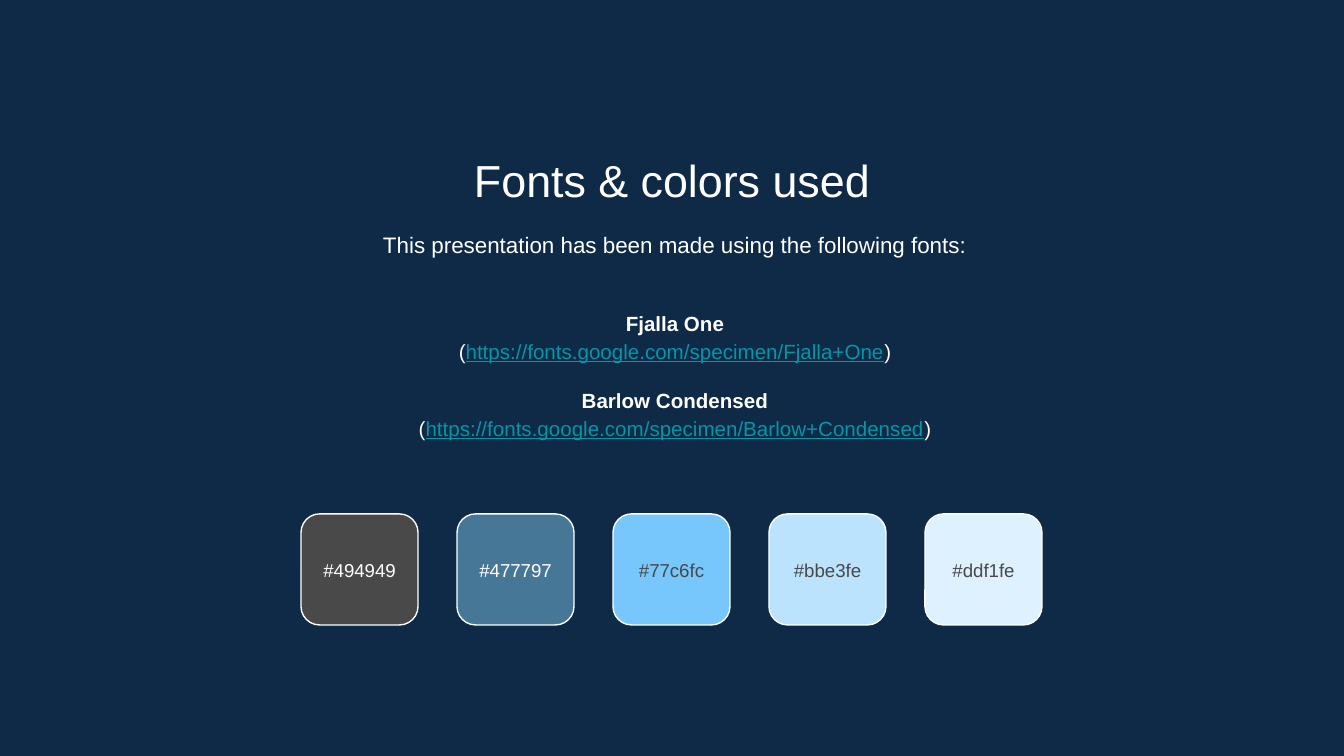
from lxml import etree
from pptx import Presentation
from pptx.dml.color import RGBColor
from pptx.enum.shapes import MSO_SHAPE
from pptx.enum.text import MSO_ANCHOR, MSO_AUTO_SIZE, PP_ALIGN
from pptx.oxml.ns import qn
from pptx.util import Emu, Pt

EMU_PER_PX = 914400 / 134.4
SLIDE_WIDTH, SLIDE_HEIGHT = 1344, 756
TWO_CONTENT_LAYOUT = 3
ROUNDED = MSO_SHAPE.ROUNDED_RECTANGLE
CENTER = PP_ALIGN.CENTER
TOP, MIDDLE = MSO_ANCHOR.TOP, MSO_ANCHOR.MIDDLE
NO_AUTOFIT = MSO_AUTO_SIZE.NONE

NAVY = RGBColor(0x0E, 0x2A, 0x47)
WHITE = RGBColor(0xFF, 0xFF, 0xFF)
TEAL = RGBColor(0x00, 0x97, 0xA7)
CHARCOAL = RGBColor(0x49, 0x49, 0x49)
STEEL = RGBColor(0x47, 0x77, 0x97)
SKY = RGBColor(0x77, 0xC6, 0xFC)
PALE_BLUE = RGBColor(0xBB, 0xE3, 0xFE)
ICE = RGBColor(0xDD, 0xF1, 0xFE)

FONTS = [
    ("Fjalla One", "https://fonts.google.com/specimen/Fjalla+One"),
    ("Barlow Condensed", "https://fonts.google.com/specimen/Barlow+Condensed"),
]
SWATCHES = [
    (CHARCOAL, WHITE),
    (STEEL, WHITE),
    (SKY, CHARCOAL),
    (PALE_BLUE, CHARCOAL),
    (ICE, CHARCOAL),
]
SWATCH_LEFT, SWATCH_TOP, SWATCH_STEP = 301, 514, 156
SWATCH_WIDTH, SWATCH_HEIGHT = 117, 111
LABEL_TOP, LABEL_HEIGHT = 538, 64


def px(length):
    return Emu(round(length * EMU_PER_PX))


class SlideBuilder:
    font_name = "Arial"
    inset = 13

    def __init__(self, slide):
        self.slide = slide
        self.slide.background.fill.solid()
        self.slide.background.fill.fore_color.rgb = NAVY

    def prepare_frame(self, shape, anchor):
        frame = shape.text_frame
        frame.word_wrap = True
        frame.auto_size = NO_AUTOFIT
        frame.vertical_anchor = anchor
        frame.margin_left = frame.margin_right = px(self.inset)
        frame.margin_top = frame.margin_bottom = px(self.inset)
        return frame

    def format_paragraph(self, paragraph, line_spacing=1.0, space_before=0):
        paragraph.alignment = CENTER
        paragraph.line_spacing = line_spacing
        paragraph.space_before = Pt(space_before)
        paragraph.space_after = Pt(0)

    def add_run(self, paragraph, text, size, color, bold=False, underline=False):
        run = paragraph.add_run()
        run.text = text
        font = run.font
        font.name = self.font_name
        font.size = Pt(size)
        font.bold = bold
        font.underline = underline
        font.color.rgb = color

    def place(self, index, left, top, width, height, anchor=TOP):
        """Move a placeholder and return its prepared text frame."""
        placeholder = self.slide.placeholders[index]
        placeholder.left, placeholder.top = px(left), px(top)
        placeholder.width, placeholder.height = px(width), px(height)
        return self.prepare_frame(placeholder, anchor)

    def title(self, text, *box):
        paragraph = self.place(0, *box).paragraphs[0]
        self.format_paragraph(paragraph)
        self.add_run(paragraph, text, 24, WHITE)

    def body(self, index, lines, *box, anchor=TOP):
        """Fill a placeholder; each line is (space before, list of run arguments)."""
        frame = self.place(index, *box, anchor=anchor)
        for number, (space_before, runs) in enumerate(lines):
            paragraph = frame.add_paragraph() if number else frame.paragraphs[0]
            self.format_paragraph(paragraph, 1.15, space_before)
            properties = paragraph._p.get_or_add_pPr()
            properties.set("marL", "0")
            properties.set("indent", "0")
            etree.SubElement(properties, qn("a:buNone"))
            for run in runs:
                self.add_run(paragraph, *run)

    def swatch(self, left, color):
        shape = self.slide.shapes.add_shape(
            ROUNDED, px(left), px(SWATCH_TOP), px(SWATCH_WIDTH), px(SWATCH_HEIGHT))
        shape.shadow.inherit = False
        shape.fill.solid()
        shape.fill.fore_color.rgb = color
        shape.line.color.rgb = WHITE
        shape.line.width = Pt(0.75)

    def label(self, left, text, color):
        box = self.slide.shapes.add_textbox(
            px(left), px(LABEL_TOP), px(SWATCH_WIDTH), px(LABEL_HEIGHT))
        paragraph = self.prepare_frame(box, MIDDLE).paragraphs[0]
        self.format_paragraph(paragraph)
        self.add_run(paragraph, text, 10, color)


def main():
    presentation = Presentation()
    presentation.slide_width = px(SLIDE_WIDTH)
    presentation.slide_height = px(SLIDE_HEIGHT)
    layout = presentation.slide_layouts[TWO_CONTENT_LAYOUT]
    builder = SlideBuilder(presentation.slides.add_slide(layout))

    builder.title("Fonts & colors used", 154, 140, 1036, 71)
    intro = "This presentation has been made using the following fonts:"
    builder.body(1, [(0, [(intro, 12, WHITE)])], 157, 214, 1036, 64)

    font_lines = []
    for number, (name, address) in enumerate(FONTS):
        font_lines.append((11 if number else 0, [(name, 11, WHITE, True)]))
        font_lines.append((0, [
            ("(", 11, WHITE),
            (address, 11, TEAL, False, True),
            (")", 11, WHITE),
        ]))
    builder.body(2, font_lines, 157, 282, 1036, 184, anchor=MIDDLE)

    for number, (color, text_color) in enumerate(SWATCHES):
        left = SWATCH_LEFT + number * SWATCH_STEP
        builder.swatch(left, color)
        builder.label(left, f"#{color}".lower(), text_color)

    presentation.save("out.pptx")


if __name__ == "__main__":
    main()
